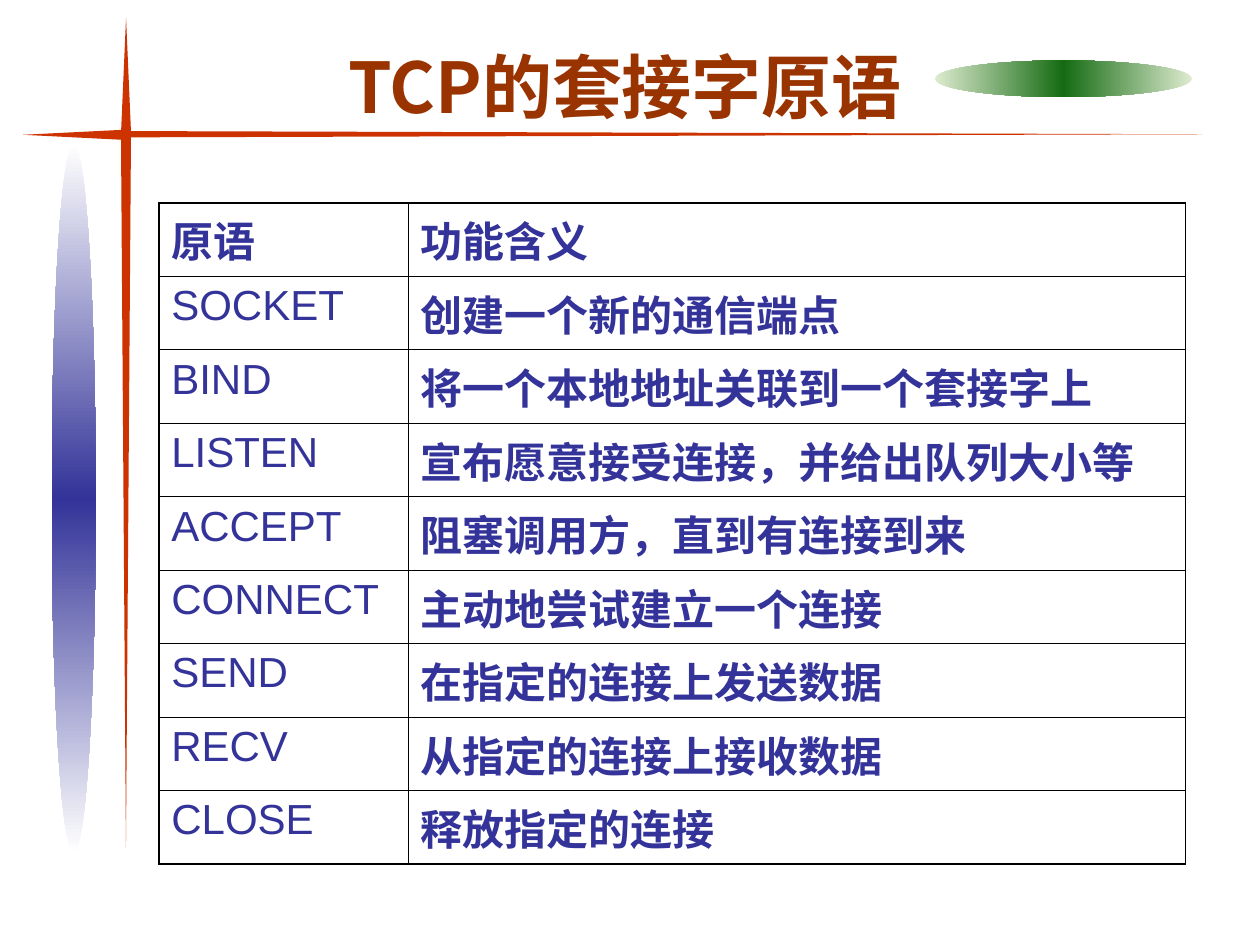
from copy import deepcopy
from dataclasses import dataclass

from lxml import etree
from pptx import Presentation
from pptx.dml.color import RGBColor
from pptx.enum import shapes, text
from pptx.oxml.ns import qn
from pptx.util import Inches, Pt


@dataclass(frozen=True)
class Theme:
    title_color: str = "993300"
    body_color: str = "333399"
    cross_color: str = "CC3300"
    green_stops: tuple = ("DDEBCF", "156B13", "DDEBCF")
    blue_stops: tuple = ("FFFFFF", "333399", "FFFFFF")
    border_color: str = "000000"
    outer_border: float = 1.08
    inner_border: float = 0.45
    title_size: int = 40
    body_size: int = 24
    latin_font: str = "Arial"
    chinese_font: str = "Noto Sans CJK SC"


THEME = Theme()

PRIMITIVES = [
    ("原语", "功能含义"),
    ("SOCKET", "创建一个新的通信端点"),
    ("BIND", "将一个本地地址关联到一个套接字上"),
    ("LISTEN", "宣布愿意接受连接，并给出队列大小等"),
    ("ACCEPT", "阻塞调用方，直到有连接到来"),
    ("CONNECT", "主动地尝试建立一个连接"),
    ("SEND", "在指定的连接上发送数据"),
    ("RECV", "从指定的连接上接收数据"),
    ("CLOSE", "释放指定的连接"),
]

# left, top, width, height, rotation; each bar tapers away from the crossing
CROSS_BARS = [
    (0.96, 1.05, 0.08, 5.68, 0),
    (5.23, -3.22, 0.05, 8.57, 270),
    (0.54, 0.67, 0.08, 0.8, 90),
    (0.96, 0.14, 0.08, 0.92, 180),
]


def write_text(frame, content, *, size, color, font, bold=False, align=None):
    paragraph = frame.paragraphs[0]
    paragraph.alignment = align
    run = paragraph.add_run()
    run.text = content
    run.font.size = Pt(size)
    run.font.bold = bold
    run.font.name = font
    run.font.color.rgb = RGBColor.from_string(color)
    east_asian = etree.SubElement(run.font._element, qn("a:ea"))
    east_asian.set("typeface", THEME.chinese_font)


def add_title(slide, content):
    box = slide.shapes.add_textbox(Inches(0.46), Inches(0.26), Inches(9), Inches(0.83))
    frame = box.text_frame
    frame.word_wrap = True
    frame.vertical_anchor = text.MSO_ANCHOR.MIDDLE
    write_text(frame, content, size=THEME.title_size, color=THEME.title_color,
               font=THEME.chinese_font, bold=True, align=text.PP_ALIGN.CENTER)


def add_plain_shape(slide, kind, left, top, width, height):
    """Add a preset shape without outline or shadow."""
    shape = slide.shapes.add_shape(
        kind, Inches(left), Inches(top), Inches(width), Inches(height))
    shape.shadow.inherit = False
    shape.line.fill.background()
    return shape


def add_gradient_ellipse(slide, *bounds, colors, angle):
    ellipse = add_plain_shape(slide, shapes.MSO_SHAPE.OVAL, *bounds)
    ellipse.fill.gradient()
    ellipse.fill.gradient_angle = angle
    stop_list = ellipse._element.spPr.find(".//" + qn("a:gsLst"))
    stop_list.append(deepcopy(stop_list[0]))
    for index, (stop, color) in enumerate(zip(ellipse.fill.gradient_stops, colors)):
        stop.position = index / (len(colors) - 1)
        stop.color.rgb = RGBColor.from_string(color)


def add_cross_bar(slide, left, top, width, height, rotation):
    bar = add_plain_shape(slide, shapes.MSO_SHAPE.FLOWCHART_MERGE,
                          left, top, width, height)
    bar.rotation = rotation
    bar.fill.solid()
    bar.fill.fore_color.rgb = RGBColor.from_string(THEME.cross_color)


def set_borders(cell, outer_sides):
    """Draw all four borders, heavier on the sides named in outer_sides."""
    properties = cell._tc.get_or_add_tcPr()
    for side in "LRTB":
        width = THEME.outer_border if side in outer_sides else THEME.inner_border
        line = etree.SubElement(properties, qn(f"a:ln{side}"), w=str(Pt(width)))
        fill = etree.SubElement(line, qn("a:solidFill"))
        etree.SubElement(fill, qn("a:srgbClr"), val=THEME.border_color)


def add_primitive_table(slide, rows):
    column_widths = (1.98, 6.17)
    table_height = 5.25
    table = slide.shapes.add_table(
        len(rows), len(column_widths), Inches(1.26), Inches(1.61),
        Inches(sum(column_widths)), Inches(table_height)).table
    table.first_row = table.horz_banding = False
    for column, width in zip(table.columns, column_widths):
        column.width = Inches(width)
    for row_index, row in enumerate(rows):
        row_sides = {0: "T", len(rows) - 1: "B"}.get(row_index, "")
        for column_index, content in enumerate(row):
            cell = table.cell(row_index, column_index)
            set_borders(cell, row_sides + "LR"[column_index])
            cell.fill.background()
            write_text(cell.text_frame, content, size=THEME.body_size,
                       color=THEME.body_color, font=THEME.latin_font,
                       bold=row_index == 0 or column_index == 1)


def main():
    presentation = Presentation()
    presentation.slide_width = Inches(10)
    presentation.slide_height = Inches(7.5)
    slide = presentation.slides.add_slide(presentation.slide_layouts[6])

    add_gradient_ellipse(slide, 7.42, 0.48, 2.04, 0.29,
                         colors=THEME.green_stops, angle=180)
    add_gradient_ellipse(slide, 0.41, 1.14, 0.35, 5.63,
                         colors=THEME.blue_stops, angle=90)
    for bar in CROSS_BARS:
        add_cross_bar(slide, *bar)
    add_title(slide, "TCP的套接字原语")
    add_primitive_table(slide, PRIMITIVES)

    presentation.save("out.pptx")


if __name__ == "__main__":
    main()
